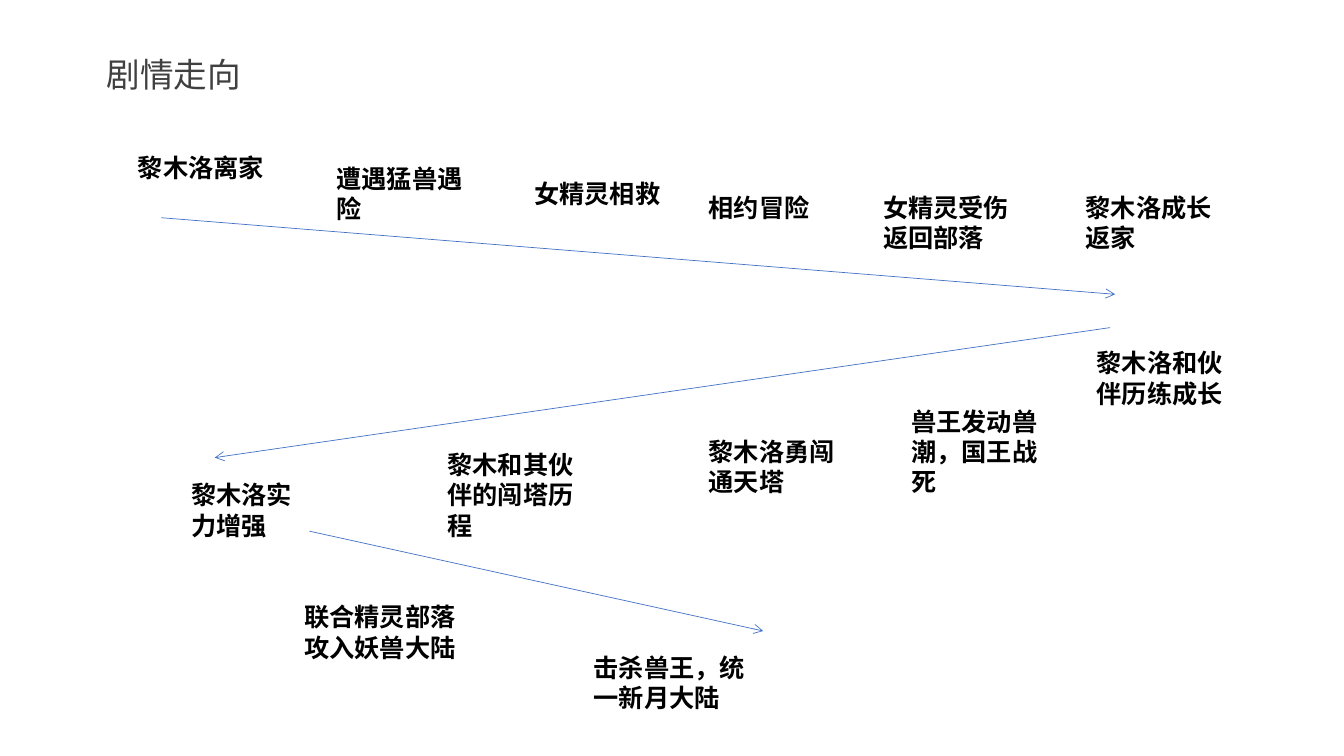
from pptx import Presentation
from pptx.dml.color import RGBColor
from pptx.enum.shapes import MSO_CONNECTOR as Connector
from pptx.enum.text import MSO_AUTO_SIZE as AutoSize
from pptx.oxml.ns import qn
from pptx.util import Inches, Pt
from lxml.etree import SubElement

FONT = "Noto Sans CJK SC"
TITLE_GREY = RGBColor(0x40, 0x40, 0x40)
BLACK = RGBColor(0, 0, 0)
BLUE = RGBColor(0x44, 0x72, 0xC4)

STEP_WIDTH = 1.46
OPENING = [
    ("黎木洛离家", 1.27, 1.46, STEP_WIDTH, 0.71),
    ("遭遇猛兽遇险", 3.24, 1.57, STEP_WIDTH, 0.71),
    ("女精灵相救", 5.2, 1.72, STEP_WIDTH, 0.71),
    ("相约冒险", 6.93, 1.86, STEP_WIDTH, 0.4),
    ("女精灵受伤返回部落", 8.66, 1.86, STEP_WIDTH, 1.01),
    ("黎木洛成长返家", 10.67, 1.86, STEP_WIDTH, 0.71),
]
GROWTH = [
    ("黎木洛勇闯通天塔", 6.93, 4.28, STEP_WIDTH, 0.71),
    ("兽王发动兽潮，国王战死", 8.94, 3.98, STEP_WIDTH, 1.01),
    ("黎木洛和伙伴历练成长", 10.78, 3.4, STEP_WIDTH, 1.01),
    ("黎木洛实力增强", 1.8, 4.71, 1.44, 0.71),
    ("黎木和其伙伴的闯塔历程", 4.34, 4.41, STEP_WIDTH, 1.01),
]
FINALE = [
    ("联合精灵部落攻入妖兽大陆", 2.92, 5.92, 1.9, 0.71),
    ("击杀兽王，统一新月大陆", 5.79, 6.42, 1.78, 0.71),
]
PLOT_ARROWS = [
    (1.6, 2.16, 11.06, 2.92),
    (11.01, 3.25, 2.13, 4.54),
    (3.07, 5.27, 7.57, 6.26),
]


class PlotSlide:
    """Holds the current slide and draws its text and arrows in one style."""

    def __init__(self, deck):
        self.page = deck.slides.add_slide(deck.slide_layouts[6])

    def text(self, words, left, top, width, height, size=18, color=BLACK, bold=True):
        box = self.page.shapes.add_textbox(*map(Inches, (left, top, width, height)))
        frame = box.text_frame
        frame.word_wrap = True
        frame.auto_size = AutoSize.SHAPE_TO_FIT_TEXT
        para = frame.paragraphs[0]
        span = para.add_run()
        span.text = words
        span.font.size = Pt(size)
        span.font.bold = bold
        span.font.color.rgb = color
        span.font.name = FONT
        SubElement(span.font._element, qn("a:ea"), typeface=FONT)

    def arrow(self, *ends):
        line = self.page.shapes.add_connector(Connector.STRAIGHT, *map(Inches, ends))
        line.line.color.rgb = BLUE
        line.line.width = Pt(0.5)
        SubElement(line.line._get_or_add_ln(), qn("a:tailEnd"), type="arrow")
        SubElement(line._element.spPr, qn("a:effectLst"))


def main():
    deck = Presentation()
    deck.slide_width, deck.slide_height = Inches(13.33), Inches(7.5)
    plot = PlotSlide(deck)
    plot.text("剧情走向", 0.96, 0.49, 2.64, 0.5, size=24, color=TITLE_GREY, bold=False)
    for step in OPENING + GROWTH + FINALE:
        plot.text(*step)
    for ends in PLOT_ARROWS:
        plot.arrow(*ends)
    deck.save("out.pptx")


if __name__ == "__main__":
    main()
